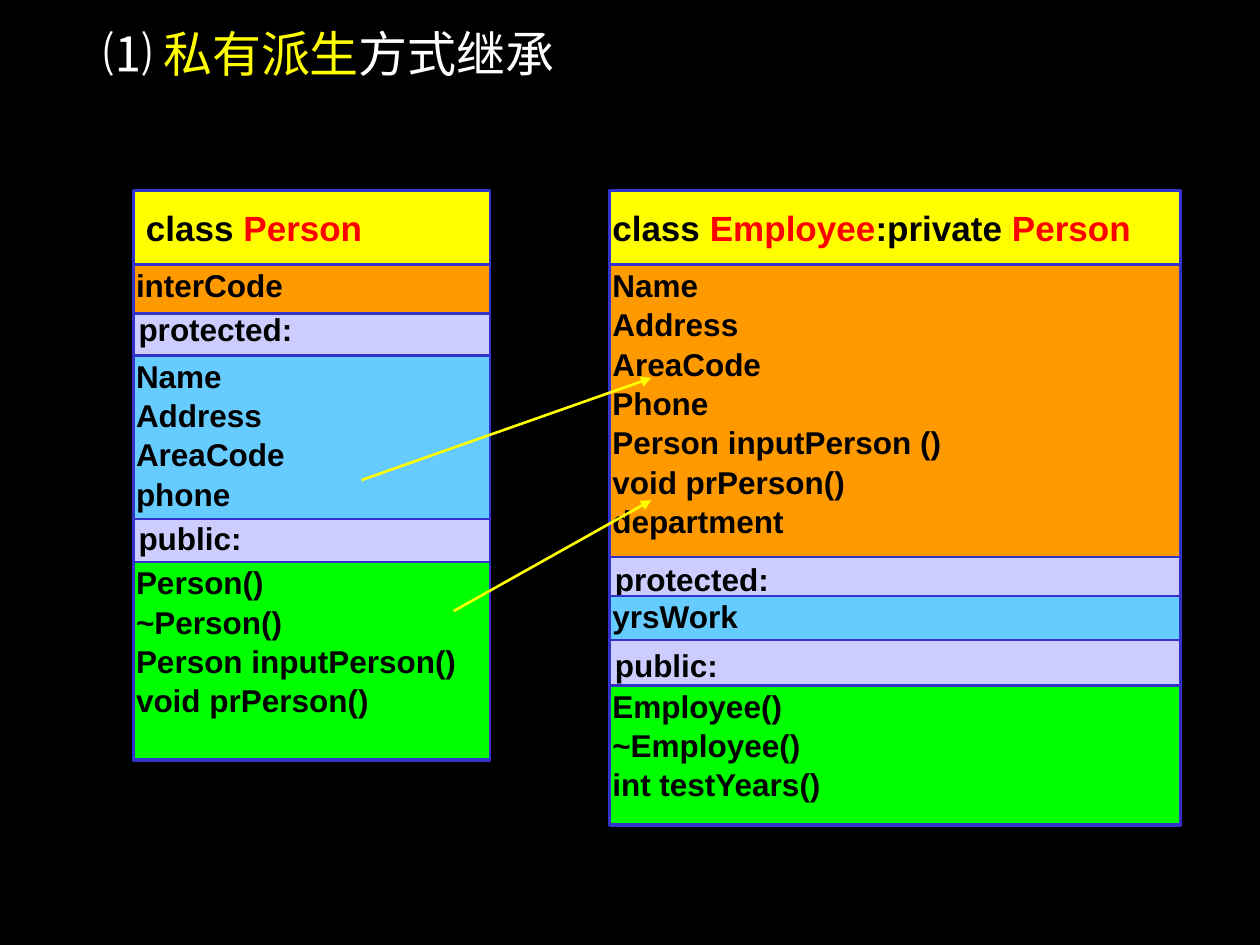
"""Build the slide on private inheritance between two classes."""
from dataclasses import dataclass

from lxml.etree import SubElement
from pptx import Presentation
from pptx.dml.color import RGBColor as Rgb
from pptx.enum.shapes import MSO_CONNECTOR as Conn, MSO_SHAPE as Kind
from pptx.enum.text import MSO_ANCHOR as Anchor, PP_ALIGN as Align
from pptx.oxml.ns import qn
from pptx.util import Inches, Pt

Run = tuple[str, str]


@dataclass(frozen=True)
class Theme:
    font: str = "Arial"
    back: str = "000000"
    ink: str = "000000"
    white: str = "FFFFFF"
    yellow: str = "FFFF00"
    red: str = "FF0000"
    edge: str = "3333CC"
    label: str = "CCCCFF"
    private: str = "FF9900"
    guarded: str = "66CCFF"
    public: str = "00FF00"
    title: int = 28
    head: int = 20
    body: int = 18
    line: float = 1.5


@dataclass(frozen=True)
class Band:
    top: float
    high: float
    fill: str
    names: tuple[str, ...]


@dataclass(frozen=True)
class Card:
    left: float
    wide: float
    high: float
    inset: float
    gap: float
    head: tuple[Run, ...]
    pad: float
    bands: tuple[Band, ...]


@dataclass(frozen=True)
class Arrow:
    start: tuple[float, float]
    end: tuple[float, float]


T = Theme()
TOP = 2.1
HEAD = 0.59
LABELS = ("protected:", "public:")

CARDS = (
    Card(1.06, 2.83, 3.94, 0.35, 97,
         (("class ", T.ink), ("Person", T.red)), 0.1,
         (Band(TOP, 0.39, T.private, ("interCode",)),
          Band(2.82, 1.3, T.guarded, ("Name", "Address", "AreaCode", "phone")),
          Band(4.46, 1.57, T.public,
               ("Person()", "~Person()", "Person inputPerson()",
                "void prPerson()")))),
    Card(4.84, 4.53, 4.45, 2.33, 27,
         (("class ", T.ink), ("Employee", T.red), (":private ", T.ink),
          ("Person", T.red)), 0.02,
         (Band(TOP, 2.32, T.private,
               ("Name", "Address", "AreaCode", "Phone",
                "Person inputPerson ()", "void prPerson()", "department")),
          Band(4.73, 0.35, T.guarded, ("yrsWork",)),
          Band(5.44, 1.1, T.public,
               ("Employee()", "~Employee()", "int testYears()")))),
)
ARROWS = (Arrow((2.87, 3.81), (5.17, 3)), Arrow((3.6, 4.85), (5.17, 3.97)))


def apply(item, form: dict) -> None:
    """Set each named attribute of an item."""
    for name, value in form.items():
        setattr(item, name, value)


def write(frame, lines: list[tuple[Run, ...]], size: int, bold: bool,
          pads: tuple[float, ...], form: dict, gap: float = 0) -> None:
    """Fill a text frame with lines of coloured runs."""
    sides = ("margin_left", "margin_top", "margin_right", "margin_bottom")
    apply(frame, {"word_wrap": True, **dict(zip(sides, map(Inches, pads)))})
    for i, line in enumerate(lines):
        para = frame.add_paragraph() if i else frame.paragraphs[0]
        apply(para, form)
        if i and gap:
            para.space_before = Pt(gap)
        for text, color in line:
            run = para.add_run()
            run.text = text
            apply(run.font, {"name": T.font, "size": Pt(size), "bold": bold})
            run.font.color.rgb = Rgb.from_string(color)


def box(slide, left: float, top: float, wide: float, high: float, fill: str):
    """Draw a filled rectangle with an edge and return its text frame."""
    shape = slide.shapes.add_shape(
        Kind.RECTANGLE, *map(Inches, (left, top, wide, high)))
    shape.shadow.inherit = False
    shape.fill.solid()
    shape.fill.fore_color.rgb = Rgb.from_string(fill)
    shape.line.color.rgb = Rgb.from_string(T.edge)
    shape.line.width = Pt(T.line)
    shape.text_frame.vertical_anchor = Anchor.TOP
    return shape.text_frame


def draw_card(slide, card: Card) -> None:
    """Draw the member panel of a class and its bands."""
    form = {"alignment": Align.JUSTIFY, "line_spacing": 1.04}
    frame = box(slide, card.left, TOP, card.wide, card.high, T.label)
    write(frame, [((name, T.ink),) for name in LABELS], T.body, True,
          (0.04, card.inset, 0, 0), form, card.gap)
    for band in card.bands:
        frame = box(slide, card.left, band.top, card.wide, band.high, band.fill)
        write(frame, [((name, T.ink),) for name in band.names], T.body, True,
              (0.02, 0, 0, 0), form)


def draw_head(slide, card: Card) -> None:
    """Draw the heading of a class."""
    frame = box(slide, card.left, TOP - HEAD, card.wide, HEAD, T.yellow)
    frame.vertical_anchor = Anchor.MIDDLE
    write(frame, [card.head], T.head, True, (card.pad, 0.05, card.pad, 0.05),
          {"alignment": Align.LEFT})


def draw_arrow(slide, arrow: Arrow) -> None:
    """Draw a straight arrow."""
    line = slide.shapes.add_connector(
        Conn.STRAIGHT, *map(Inches, arrow.start + arrow.end))
    line.line.color.rgb = Rgb.from_string(T.yellow)
    line.line.width = Pt(T.line)
    SubElement(line.line._get_or_add_ln(), qn("a:tailEnd"), type="triangle")
    SubElement(line._element.spPr, qn("a:effectLst"))


def main() -> None:
    """Build and save the slide."""
    deck = Presentation()
    apply(deck, {"slide_width": Inches(10), "slide_height": Inches(7.5)})
    slide = deck.slides.add_slide(deck.slide_layouts[6])
    slide.background.fill.solid()
    slide.background.fill.fore_color.rgb = Rgb.from_string(T.back)
    title = slide.shapes.add_textbox(*map(Inches, (0.27, 0.09, 9.45, 7.28)))
    write(title.text_frame,
          [(("⑴ ", T.white), ("私有派生", T.yellow), ("方式继承", T.white))],
          T.title, False, (0.55, 0.05, 0.1, 0.05), {"line_spacing": 1.1})
    for card in CARDS:
        draw_card(slide, card)
    for arrow in ARROWS:
        draw_arrow(slide, arrow)
    for card in CARDS:
        draw_head(slide, card)
    deck.save("out.pptx")


if __name__ == "__main__":
    main()
